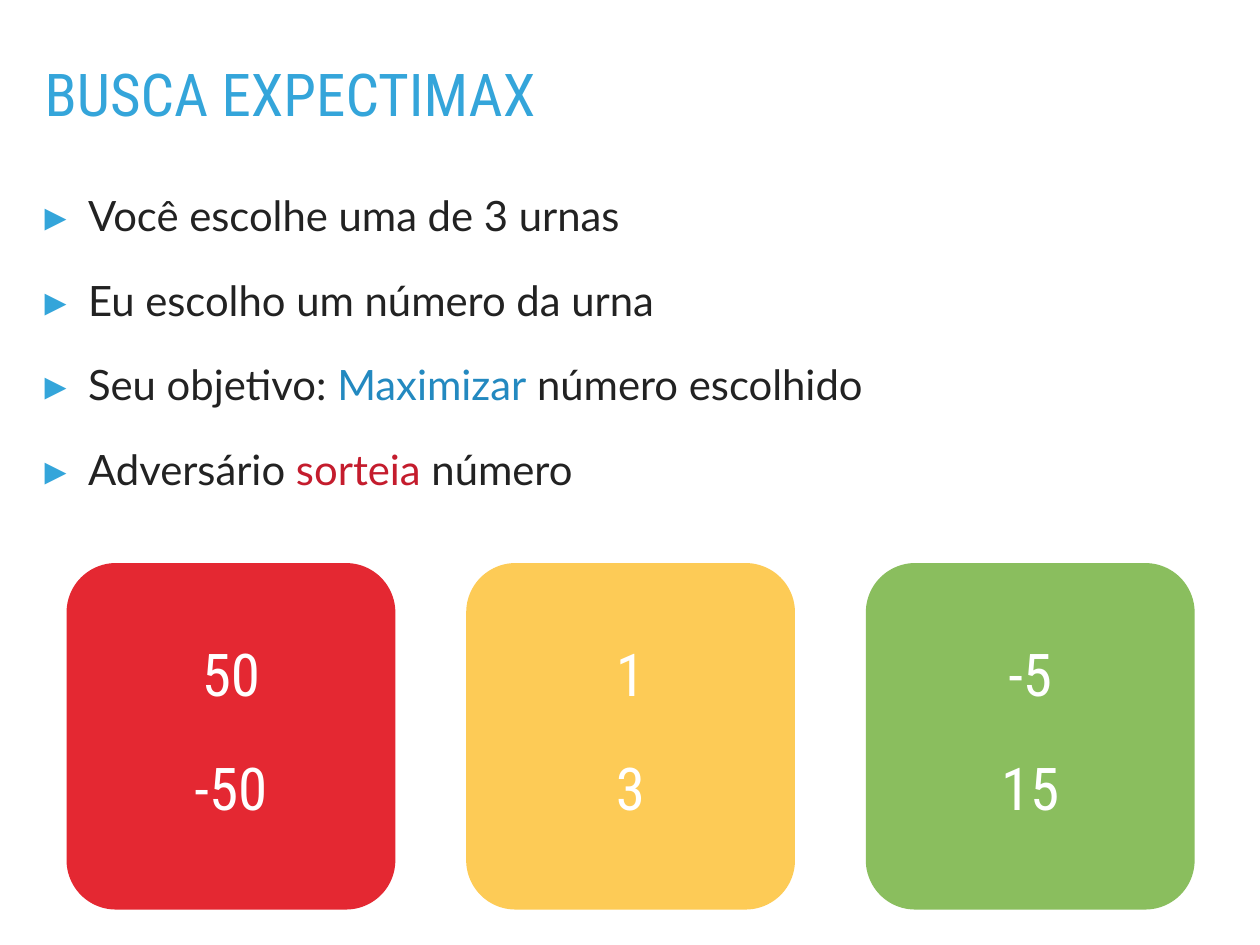
import pptx
import pptx.dml.color
import pptx.enum.shapes
import pptx.enum.text
import pptx.oxml.ns
import pptx.util
from lxml import etree

RGBColor = pptx.dml.color.RGBColor
Alignment = pptx.enum.text.PP_ALIGN
Anchor = pptx.enum.text.MSO_ANCHOR

SKY = RGBColor(0x34, 0xA5, 0xDA)
BLUE = RGBColor(0x23, 0x89, 0xC0)
CRIMSON = RGBColor(0xC4, 0x1C, 0x2D)
INK = RGBColor(0x22, 0x22, 0x22)
WHITE = RGBColor(0xFF, 0xFF, 0xFF)
RED = RGBColor(0xE4, 0x28, 0x32)
YELLOW = RGBColor(0xFD, 0xCB, 0x56)
GREEN = RGBColor(0x8A, 0xBE, 0x5E)

HEADING_FONT = "Roboto Condensed"
BODY_FONT = "Lato"

SLIDE_WIDTH = pptx.util.Inches(14.22)
SLIDE_HEIGHT = pptx.util.Inches(10.67)
COLUMN = SLIDE_WIDTH / 32
ROW = SLIDE_HEIGHT / 24

URN_LEFT, URN_PITCH = 1.69, 10.15

RULES = [
    [("Você escolhe uma de 3 urnas", INK)],
    [("Eu escolho um número da urna", INK)],
    [("Seu objetivo: ", INK), ("Maximizar", BLUE), (" número escolhido", INK)],
    [("Adversário ", INK), ("sorteia ", CRIMSON), ("número", INK)],
]
URNS = [(RED, ("50", "-50")), (YELLOW, ("1", "3")), (GREEN, ("-5", "15"))]


def grid_box(column, row, columns, rows):
    """Turn grid cells into left, top, width and height."""
    return (round(column * COLUMN), round(row * ROW),
            round(columns * COLUMN), round(rows * ROW))


def place(shape, box):
    shape.left, shape.top, shape.width, shape.height = box


def prepare_frame(shape, anchor):
    frame = shape.text_frame
    frame.word_wrap = True
    frame.auto_size = pptx.enum.text.MSO_AUTO_SIZE.NONE
    frame.vertical_anchor = anchor
    frame.margin_left = frame.margin_right = pptx.util.Inches(0.06)
    frame.margin_top = frame.margin_bottom = pptx.util.Inches(0.06)
    return frame


def add_paragraph(frame, index, alignment, gap, line_spacing):
    """Return the paragraph at index, with a gap above all but the first."""
    paragraph = frame.add_paragraph() if index else frame.paragraphs[0]
    paragraph.alignment = alignment
    paragraph.line_spacing = line_spacing
    paragraph.space_before = pptx.util.Pt(gap if index else 0)
    return paragraph


def add_run(paragraph, text, font, size, color):
    run = paragraph.add_run()
    run.text = text
    run.font.name = font
    run.font.size = pptx.util.Pt(size)
    run.font.color.rgb = color


def add_bullet(paragraph):
    properties = paragraph._p.get_or_add_pPr()
    indent = pptx.util.Inches(0.49)
    properties.set("marL", str(indent))
    properties.set("indent", str(-indent))
    qn = pptx.oxml.ns.qn
    color = etree.SubElement(properties, qn("a:buClr"))
    etree.SubElement(color, qn("a:srgbClr"), val=str(SKY))
    etree.SubElement(properties, qn("a:buSzPct"), val="105000")
    etree.SubElement(properties, qn("a:buFont"), typeface=BODY_FONT)
    etree.SubElement(properties, qn("a:buChar"), char="▸")


def write_title(slide, text):
    title = slide.shapes.title
    place(title, grid_box(1, 1.66, 30, 1.78))
    frame = prepare_frame(title, Anchor.TOP)
    paragraph = add_paragraph(frame, 0, Alignment.LEFT, 0, 0.8)
    add_run(paragraph, text, HEADING_FONT, 48, SKY)


def write_rules(slide, rules):
    body = slide.placeholders[1]
    place(body, grid_box(1, 4.68, 30, 15))
    frame = prepare_frame(body, Anchor.TOP)
    for index, rule in enumerate(rules):
        paragraph = add_paragraph(frame, index, Alignment.LEFT, 28, 1.0)
        add_bullet(paragraph)
        for text, color in rule:
            add_run(paragraph, text, BODY_FONT, 34, color)


def add_urn(slide, column, color, numbers):
    urn = slide.shapes.add_shape(
        pptx.enum.shapes.MSO_SHAPE.ROUNDED_RECTANGLE,
        *grid_box(column, 14.3, 8.35, 8.8))
    urn.adjustments[0] = 0.15
    urn.shadow.inherit = False
    urn.fill.solid()
    urn.fill.fore_color.rgb = color
    urn.line.fill.background()
    frame = prepare_frame(urn, Anchor.MIDDLE)
    for index, number in enumerate(numbers):
        paragraph = add_paragraph(frame, index, Alignment.CENTER, 47, 0.8)
        add_run(paragraph, number, HEADING_FONT, 48, WHITE)


def main():
    presentation = pptx.Presentation()
    presentation.slide_width = SLIDE_WIDTH
    presentation.slide_height = SLIDE_HEIGHT
    slide = presentation.slides.add_slide(presentation.slide_layouts[1])
    write_title(slide, "BUSCA EXPECTIMAX")
    write_rules(slide, RULES)
    for index, (color, numbers) in enumerate(URNS):
        add_urn(slide, URN_LEFT + index * URN_PITCH, color, numbers)
    presentation.save("out.pptx")


if __name__ == "__main__":
    main()
